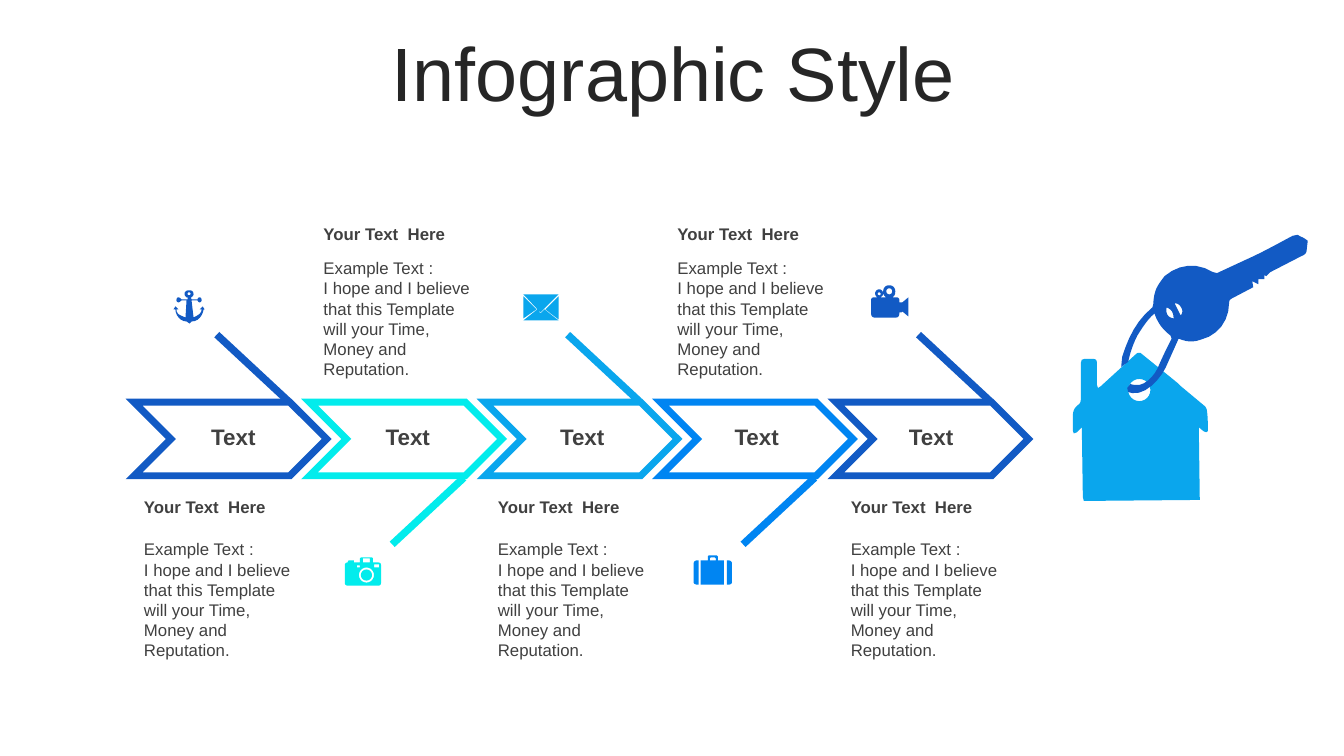
import pptx
import pptx.util
import pptx.dml.color
import pptx.enum.shapes
import pptx.enum.text
import pptx.oxml
import pptx.oxml.ns
import math

COLORS = {"navy": "125AC4", "cyan": "02ECEC", "sky": "0AA6ED", "azure": "0085F2",
          "white": "FFFFFF", "title": "262626", "text": "404040"}
HEADLINE = "Infographic Style"
STEP_LABEL = "Text"
NOTE_HEADING = "Your Text  Here"
NOTE_BODY = ["Example Text :",
             "I hope and I believe that this Template will your Time, Money and Reputation."]

STEPS = [
    {"color": "navy", "note_left": 1.33},
    {"color": "cyan", "note_left": 3.11},
    {"color": "sky", "note_left": 4.84},
    {"color": "azure", "note_left": 6.62},
    {"color": "navy", "note_left": 8.34},
]
NOTE_BELOW = {"heading_top": 4.88, "body_top": 5.3, "width": 1.77}
NOTE_ABOVE = {"heading_top": 2.17, "body_top": 2.51, "width": 1.72}

# M, L, C: absolute move, line and cubic curve; O: circle centre and radius
ENVELOPE = [
    "M 5.4 3.07 L 5.54 3.18 5.19 3.18 5.33 3.07 5.36 3.11",
    "M 5.54 2.94 L 5.54 3.17 5.41 3.07 M 5.19 2.94 L 5.32 3.07 5.19 3.16",
    "M 5.19 2.92 L 5.54 2.92 5.36 3.1",
]
CAMERA = [
    "O 3.635 5.705 .055 O 3.635 5.705 .075",
    "M 3.54 5.61 L 3.54 5.63 3.57 5.63 3.57 5.61 M 3.71 5.6 L 3.71 5.63 3.76 5.63 3.76 5.6",
    "M 3.6 5.54 L 3.6 5.58 3.67 5.58 3.67 5.54",
    "M 3.58 5.53 L 3.69 5.53 3.7 5.54 3.7 5.58 3.75 5.58 C 3.77 5.58 3.78 5.59 3.78 5.61",
    "L 3.78 5.78 C 3.78 5.8 3.77 5.81 3.75 5.81 L 3.45 5.81 C 3.43 5.81 3.42 5.8 3.42 5.78",
    "L 3.42 5.61 C 3.42 5.59 3.43 5.58 3.45 5.58 L 3.45 5.57 3.46 5.56 3.51 5.56 3.51 5.58",
    "L 3.57 5.58 3.57 5.54",
]
VIDEO_CAMERA = [
    "O 8.72 2.915 .015 O 8.82 2.89 .03",
    "M 8.82 2.83 C 8.86 2.83 8.88 2.86 8.88 2.89 C 8.88 2.92 8.87 2.94 8.85 2.95 L 8.89 2.95",
    "C 8.91 2.95 8.92 2.96 8.92 2.98 L 8.92 3 8.95 3 9.01 2.95 9.01 3.14 8.95 3.09 8.94 3.1",
    "L 8.92 3.1 8.92 3.11 C 8.92 3.13 8.91 3.15 8.89 3.15 L 8.67 3.15",
    "C 8.65 3.15 8.64 3.13 8.64 3.11 L 8.64 2.98 C 8.64 2.96 8.65 2.95 8.67 2.95 L 8.7 2.95",
    "C 8.69 2.94 8.68 2.93 8.68 2.91 C 8.68 2.89 8.7 2.87 8.72 2.87",
    "C 8.74 2.87 8.76 2.89 8.76 2.91 C 8.76 2.93 8.75 2.94 8.73 2.95 L 8.79 2.95",
    "C 8.77 2.94 8.76 2.92 8.76 2.89 C 8.76 2.86 8.78 2.83 8.82 2.83",
]
SUITCASE = [
    "M 7.21 5.56 L 7.23 5.56 C 7.24 5.56 7.26 5.57 7.26 5.59 L 7.26 5.78",
    "C 7.26 5.79 7.24 5.8 7.23 5.8 L 7.21 5.8",
    "M 6.91 5.56 L 6.93 5.56 6.93 5.8 6.91 5.8 C 6.9 5.8 6.88 5.79 6.88 5.78 L 6.88 5.59",
    "C 6.88 5.57 6.9 5.56 6.91 5.56",
    "M 7.05 5.53 L 7.04 5.54 7.04 5.56 7.1 5.56 7.1 5.54 7.09 5.53",
    "M 7.03 5.51 L 7.11 5.51 7.12 5.52 7.12 5.56 7.18 5.56 7.18 5.8 6.95 5.8 6.95 5.56",
    "L 7.02 5.56 7.02 5.52",
]
ANCHOR = [
    "O 1.875 2.915 .015",
    "M 1.88 2.88 C 1.9 2.88 1.92 2.89 1.92 2.92 C 1.92 2.93 1.91 2.94 1.9 2.95 L 1.89 2.95",
    "L 1.9 2.97 1.96 2.97 C 1.96 2.96 1.97 2.95 1.98 2.95 C 1.99 2.95 2 2.96 2 2.98",
    "C 2 2.99 1.99 3 1.98 3 C 1.97 3 1.96 2.99 1.96 2.98 L 1.9 2.98 1.92 3.15",
    "C 1.96 3.13 2 3.11 2 3.07 L 1.98 3.07 2.01 3.04 2.03 3.07 2.02 3.07",
    "C 2.01 3.13 1.97 3.19 1.9 3.19 L 1.88 3.21 1.85 3.19 C 1.79 3.19 1.74 3.13 1.74 3.07",
    "L 1.72 3.07 1.74 3.04 1.77 3.07 1.75 3.07 C 1.75 3.12 1.79 3.13 1.84 3.15",
    "L 1.85 2.98 1.8 2.98 C 1.79 2.99 1.78 3 1.77 3 C 1.76 3 1.75 2.99 1.75 2.98",
    "C 1.75 2.96 1.76 2.95 1.77 2.95 C 1.78 2.95 1.79 2.96 1.8 2.97 L 1.86 2.97 1.86 2.95",
    "L 1.85 2.95 C 1.84 2.94 1.83 2.93 1.83 2.92 C 1.83 2.89 1.85 2.88 1.88 2.88",
]
HOUSE = [
    "O 11.3 3.87 .11",
    "M 11.3 3.5 L 11.31 3.5 11.68 3.8 11.71 3.83 11.95 4.03 C 11.96 4.04 11.97 4.06 11.97 4.07",
    "C 11.98 4.14 11.98 4.2 11.98 4.27 C 11.98 4.29 11.96 4.29 11.94 4.28 L 11.89 4.24",
    "L 11.9 4.96 10.75 4.97 10.74 4.93 10.73 4.24 10.68 4.29 10.65 4.3 10.64 4.27 10.64 4.14",
    "C 10.64 4.09 10.65 4.05 10.69 4.02 C 10.72 4 10.72 3.98 10.72 3.95 L 10.72 3.6",
    "L 10.73 3.57 10.76 3.56 10.83 3.56 C 10.87 3.56 10.88 3.57 10.88 3.61 L 10.88 3.82",
    "L 10.89 3.85 10.92 3.83 11.26 3.52 C 11.27 3.51 11.28 3.5 11.3 3.5",
]
KEY = [
    "M 11.57 3.05 C 11.56 3.11 11.58 3.15 11.64 3.16 C 11.64 3.1 11.62 3.07 11.57 3.05",
    "M 11.65 3.01 L 11.71 3.13 C 11.73 3.11 11.73 3.08 11.72 3.06",
    "C 11.7 3.02 11.68 3.01 11.65 3.01",
    "M 12.87 2.33 C 12.9 2.35 12.94 2.36 12.97 2.39 L 12.96 2.48",
    "C 12.96 2.51 12.94 2.53 12.91 2.54 L 12.6 2.7 12.56 2.74 12.54 2.73 12.54 2.77",
    "L 12.48 2.77 12.48 2.82 12.42 2.79 12.43 2.85 12.22 2.96",
    "C 12.2 2.97 12.19 2.98 12.19 3.01 C 12.19 3.18 12.08 3.33 11.91 3.37",
    "C 11.83 3.4 11.76 3.39 11.69 3.36 L 11.56 3.65 C 11.5 3.77 11.36 3.92 11.23 3.9",
    "L 11.19 3.89 11.18 3.85 11.21 3.81 C 11.24 3.82 11.26 3.82 11.3 3.82",
    "C 11.39 3.8 11.47 3.7 11.5 3.61 C 11.54 3.52 11.58 3.44 11.62 3.36 L 11.61 3.33",
    "C 11.53 3.27 11.48 3.2 11.45 3.11 C 11.38 3.17 11.33 3.25 11.28 3.33",
    "C 11.24 3.41 11.21 3.49 11.19 3.59 L 11.12 3.64 11.13 3.54",
    "C 11.19 3.35 11.27 3.18 11.43 3.05 L 11.44 3.01 C 11.44 2.96 11.45 2.91 11.47 2.86",
    "C 11.49 2.82 11.52 2.78 11.55 2.74 C 11.69 2.62 11.87 2.6 12.03 2.7 L 12.07 2.71",
    "L 12.35 2.58 C 12.51 2.51 12.67 2.42 12.82 2.34 L 12.87 2.33",
]
DRAWINGS = [("sky", ENVELOPE), ("cyan", CAMERA), ("navy", VIDEO_CAMERA), ("azure", SUITCASE),
            ("navy", ANCHOR), ("sky", HOUSE), ("navy", KEY)]
CURVE_STEPS, CIRCLE_STEPS = 6, 24
Inches = pptx.util.Inches


def rgb(color):
    return pptx.dml.color.RGBColor.from_string(COLORS[color])


def style(paragraph, size, color, bold=False):
    paragraph.font.name = "Arial"
    paragraph.font.size = pptx.util.Pt(size)
    paragraph.font.bold = bold
    paragraph.font.color.rgb = rgb(color)


def add_text(slide, box, lines, size, bold=False, align=None):
    frame = slide.shapes.add_textbox(*map(Inches, box)).text_frame
    frame.word_wrap = True
    frame.auto_size = pptx.enum.text.MSO_AUTO_SIZE.SHAPE_TO_FIT_TEXT
    frame.text = "\n".join(lines)
    for paragraph in frame.paragraphs:
        paragraph.alignment = align
        style(paragraph, size, "text", bold)


def contours(outline):
    result, command = [], ""
    tokens = iter(" ".join(outline).split())
    for token in tokens:
        if token in "MLCO":
            command, token = token, next(tokens)
        x, y = float(token), float(next(tokens))
        if command == "M":
            result.append([(x, y)])
        elif command == "L":
            result[-1].append((x, y))
        elif command == "O":
            radius = float(next(tokens))
            angles = [2 * math.pi * n / CIRCLE_STEPS for n in range(CIRCLE_STEPS)]
            result.append([(x + radius * math.cos(a), y + radius * math.sin(a)) for a in angles])
        else:
            rest = [float(next(tokens)) for _ in range(4)]
            knots = [result[-1][-1], (x, y), tuple(rest[:2]), tuple(rest[2:])]
            for n in range(1, CURVE_STEPS + 1):
                t = n / CURVE_STEPS
                weights = [math.comb(3, k) * t ** k * (1 - t) ** (3 - k) for k in range(4)]
                result[-1].append(tuple(sum(w * knot[axis] for w, knot in zip(weights, knots))
                                        for axis in (0, 1)))
    return [[(Inches(x), Inches(y)) for x, y in contour] for contour in result]


def paint(shape, fill):
    shape.shadow.inherit = False
    shape.fill.solid()
    shape.fill.fore_color.rgb = rgb(fill)


def add_drawing(slide, color, outline):
    parts = contours(outline)
    builder = slide.shapes.build_freeform(*parts[0][0])
    builder.add_line_segments(parts[0][1:], close=True)
    for part in parts[1:]:
        builder.move_to(*part[0])
        builder.add_line_segments(part[1:], close=True)
    drawing = builder.convert_to_shape()
    paint(drawing, color)
    drawing.line.fill.background()


def add_branch(slide, index, color):
    left = 2.15 + 1.74 * index
    outer, inner = (5.4, 4.74) if index % 2 else (3.32, 3.98)
    branch = slide.shapes.add_connector(pptx.enum.shapes.MSO_CONNECTOR.STRAIGHT,
                                        *map(Inches, (left, outer, left + 0.71, inner)))
    branch.line.color.rgb = rgb(color)
    branch.line.width = pptx.util.Pt(5.25)
    branch._element.spPr.append(pptx.oxml.parse_xml(
        f"<a:effectLst {pptx.oxml.ns.nsdecls('a')}/>"))


def add_chevron(slide, index, color):
    chevron = slide.shapes.add_shape(pptx.enum.shapes.MSO_SHAPE.CHEVRON,
                                     *map(Inches, (1.33 + 1.74 * index, 3.99, 1.91, 0.73)))
    paint(chevron, "white")
    chevron.line.color.rgb = rgb(color)
    chevron.line.width = pptx.util.Pt(5)
    chevron.line._get_or_add_ln().append(pptx.oxml.parse_xml(
        f"<a:miter {pptx.oxml.ns.nsdecls('a')} lim=\"800000\"/>"))


deck = pptx.Presentation()
deck.slide_width, deck.slide_height = Inches(13.33), Inches(7.5)
slide = deck.slides.add_slide(deck.slide_layouts[5])
headline = slide.shapes.title
headline.left, headline.top = Inches(0.35), Inches(0.37)
headline.width, headline.height = Inches(12.66), Inches(0.79)
headline.text_frame.text = HEADLINE
headline.text_frame.vertical_anchor = pptx.enum.text.MSO_ANCHOR.MIDDLE
headline_line = headline.text_frame.paragraphs[0]
headline_line.alignment = pptx.enum.text.PP_ALIGN.CENTER
headline_line.line_spacing = 0.9
style(headline_line, 54, "title")

for add_part in (add_branch, add_chevron):
    for index, step in enumerate(STEPS):
        add_part(slide, index, step["color"])
for index, step in enumerate(STEPS):
    note = NOTE_ABOVE if index % 2 else NOTE_BELOW
    left, width = step["note_left"], note["width"]
    add_text(slide, (left, note["heading_top"], width, 0.3), [NOTE_HEADING], 12, bold=True)
    add_text(slide, (left, note["body_top"], width, 1.31), NOTE_BODY, 12)
    add_text(slide, (1.95 + 1.73 * index, 4.15, 0.73, 0.37), [STEP_LABEL], 16, bold=True,
             align=pptx.enum.text.PP_ALIGN.CENTER)
for color, outline in DRAWINGS:
    add_drawing(slide, color, outline)
deck.save("out.pptx")
